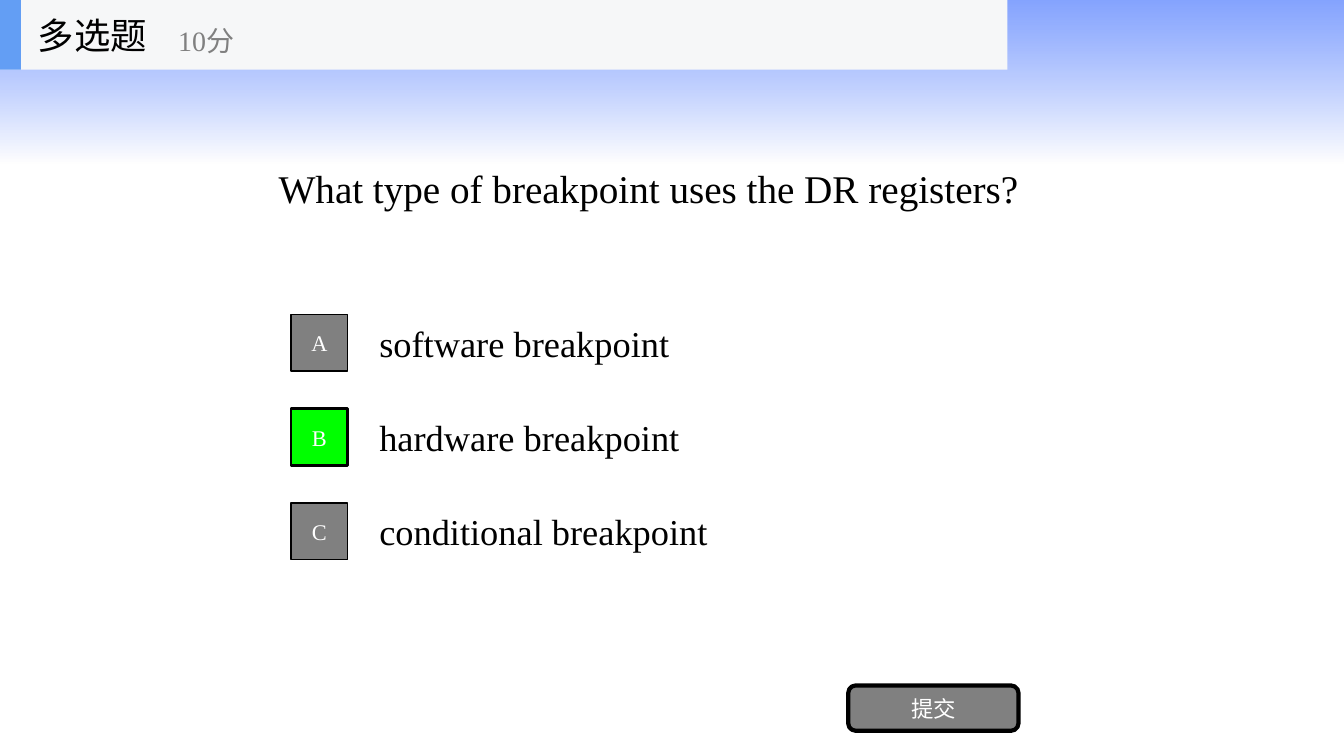
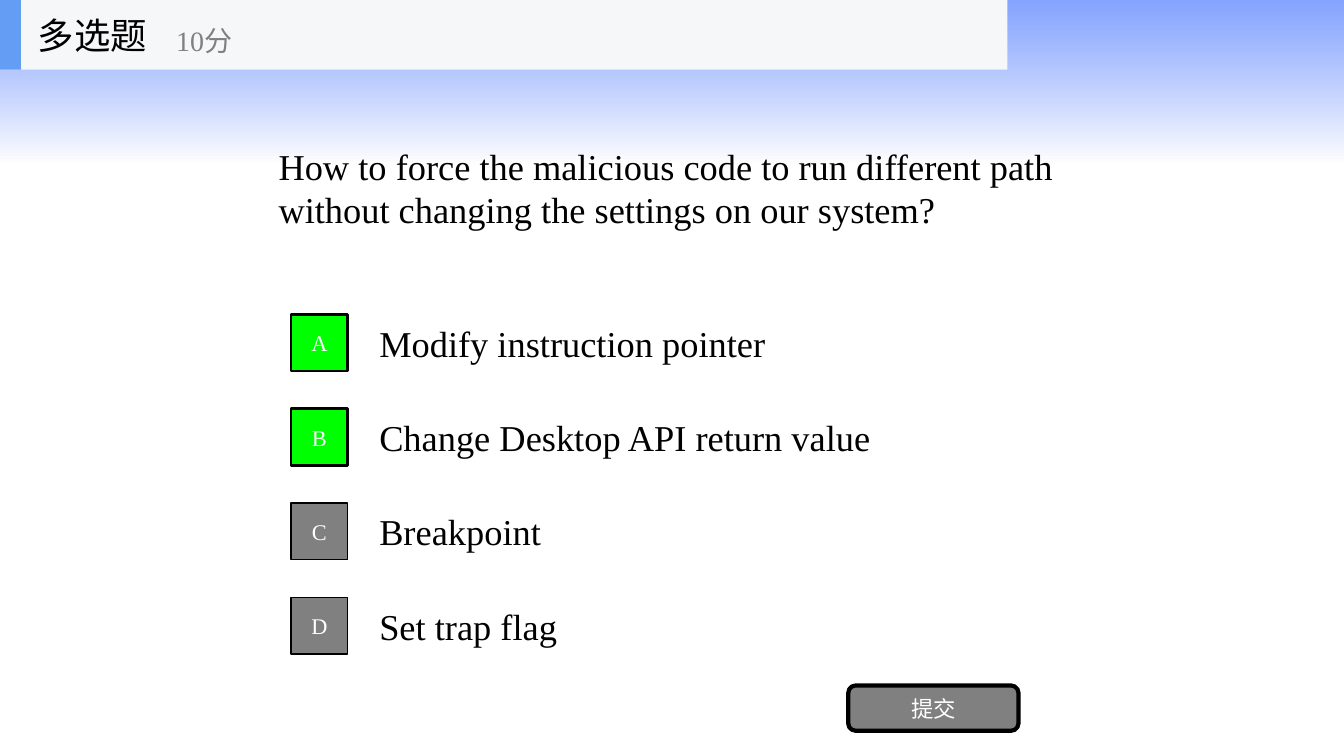
from lxml.etree import SubElement
from pptx import Presentation
from pptx.dml.color import RGBColor
from pptx.enum.shapes import MSO_SHAPE as Shape
from pptx.enum.text import MSO_ANCHOR as Anchor, PP_ALIGN as Align
from pptx.oxml.ns import qn
from pptx.util import Pt

FONT = "Times New Roman"
BLACK = RGBColor(0x00, 0x00, 0x00)
WHITE = RGBColor(0xFF, 0xFF, 0xFF)
GREY = RGBColor(0x80, 0x80, 0x80)
GREEN = RGBColor(0x00, 0xFF, 0x00)
SKY = RGBColor(0x33, 0x66, 0xFF)
HEADER_FILL = RGBColor(0xF6, 0xF7, 0xF8)
HEADER_ACCENT = RGBColor(0x63, 0x9E, 0xF4)

HEADER_HEIGHT = 49.7
OPTION_TOP, OPTION_PITCH, OPTION_HEIGHT = 219.6, 67.4, 50.4
BADGE_SIZE = 40.5

# Question, its size, left edge of the points label, (option, is correct)
QUESTIONS = [
    ("What type of breakpoint uses the DR registers?", 28, 120.2, [
        ("software breakpoint", False),
        ("hardware breakpoint", True),
        ("conditional breakpoint", False),
    ]),
    ("How to force the malicious code to run different path "
     "without changing the settings on our system?", 26, 118.8, [
        ("Modify instruction pointer", True),
        ("Change Desktop API return value", True),
        ("Breakpoint", False),
        ("Set trap flag", False),
    ]),
]


def add_box(shapes, left, top, width, height, kind=Shape.RECTANGLE, fill=None, line=0):
    """Add a shape without shadow; line is the outline width, 0 for none."""
    shape = shapes.add_shape(kind, Pt(left), Pt(top), Pt(width), Pt(height))
    shape.shadow.inherit = False
    if fill is None:
        shape.fill.background()
    else:
        shape.fill.solid()
        shape.fill.fore_color.rgb = fill
    if line:
        shape.line.color.rgb = BLACK
        shape.line.width = Pt(line)
    else:
        shape.line.fill.background()
    return shape


def write(shape, text, size=26, color=BLACK, align=Align.LEFT):
    frame = shape.text_frame
    frame.word_wrap = True
    frame.vertical_anchor = Anchor.MIDDLE
    paragraph = frame.paragraphs[0]
    paragraph.alignment = align
    run = paragraph.add_run()
    run.text = text
    run.font.name = FONT
    run.font.size = Pt(size)
    run.font.color.rgb = color


presentation = Presentation()
presentation.slide_width = Pt(960.5)
presentation.slide_height = Pt(540)
badge_format = {"size": 16, "color": WHITE, "align": Align.CENTER}

for question, question_size, points_left, options in QUESTIONS:
    slide = presentation.slides.add_slide(presentation.slide_layouts[6])
    shapes = slide.shapes

    # Sky band fading into the white background
    band = add_box(shapes, 0, 0, 960, 116.6)
    band.fill.gradient()
    band.fill.gradient_angle = 270
    for stop, color, opacity in zip(band.fill.gradient_stops, (SKY, WHITE), (60, 70)):
        stop.color.rgb = color
    for color_element, opacity in zip(band.element.spPr.iter(qn("a:srgbClr")), (60, 70)):
        SubElement(color_element, qn("a:alpha"), val=str(opacity * 1000))

    question_box = shapes.add_textbox(Pt(192), Pt(49.7), Pt(576), Pt(168.5))
    write(question_box, question, size=question_size)

    for index, (option, correct) in enumerate(options):
        top = OPTION_TOP + index * OPTION_PITCH
        option_box = shapes.add_textbox(Pt(264), Pt(top), Pt(504), Pt(OPTION_HEIGHT))
        write(option_box, option)
        badge = add_box(shapes, 208, top + (OPTION_HEIGHT - BADGE_SIZE) / 2,
                        BADGE_SIZE, BADGE_SIZE,
                        fill=GREEN if correct else GREY, line=2 if correct else 1)
        write(badge, "ABCD"[index], **badge_format)

    submit = add_box(shapes, 606.2, 489.6, 121.7, 32.4,
                     kind=Shape.ROUNDED_RECTANGLE, fill=GREY, line=3)
    write(submit, "提交", **badge_format)

    header = shapes.add_group_shape().shapes
    add_box(header, 0, 0, 720, HEADER_HEIGHT, fill=HEADER_FILL)
    add_box(header, 0, 0, 15, HEADER_HEIGHT, fill=HEADER_ACCENT)
    kind_box = header.add_textbox(Pt(20), Pt(0), Pt(150), Pt(HEADER_HEIGHT))
    write(kind_box, "多选题")
    points_box = header.add_textbox(Pt(points_left), Pt(8.6), Pt(180), Pt(40.3))
    write(points_box, "10分", size=20, color=GREY)

presentation.save("out.pptx")
